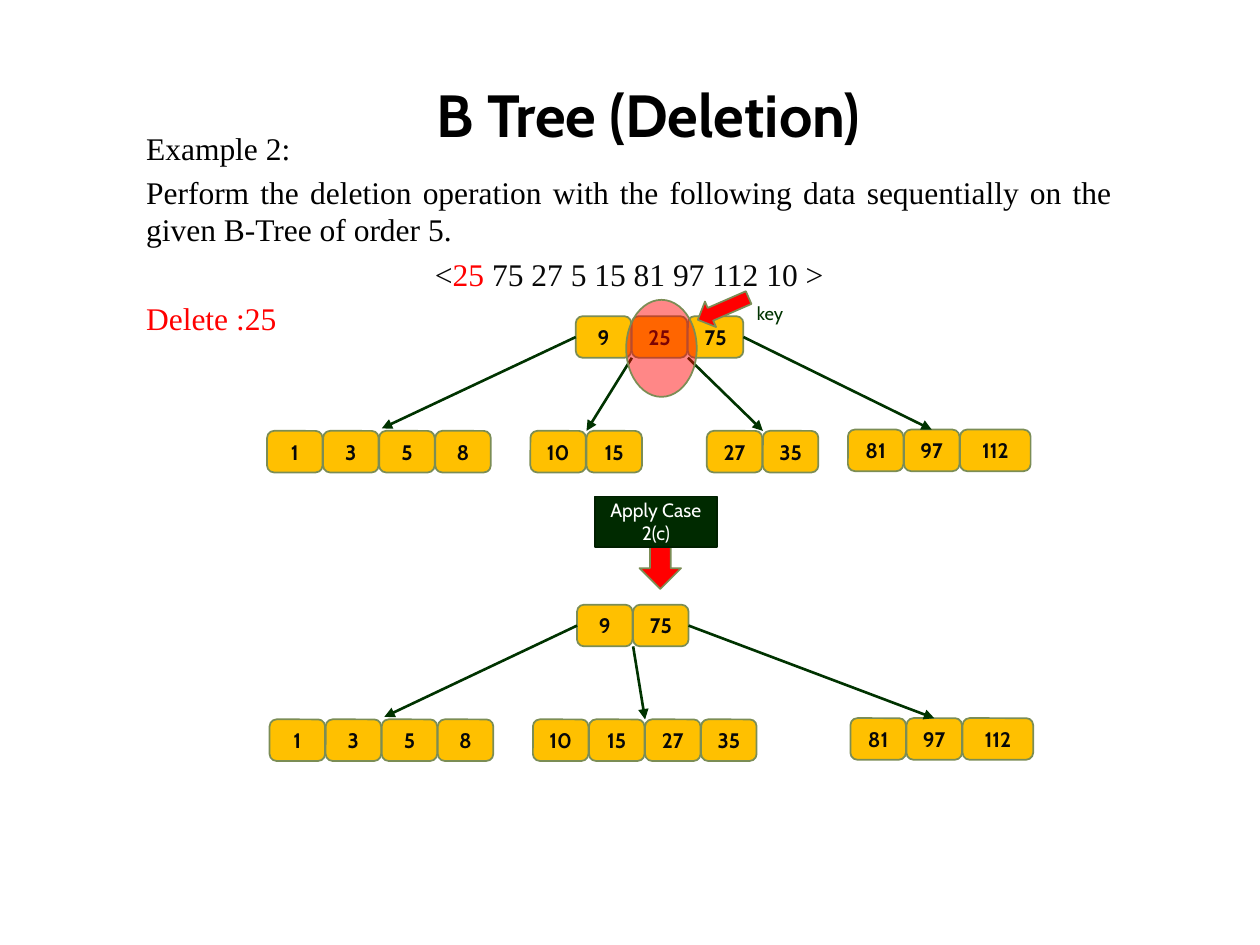
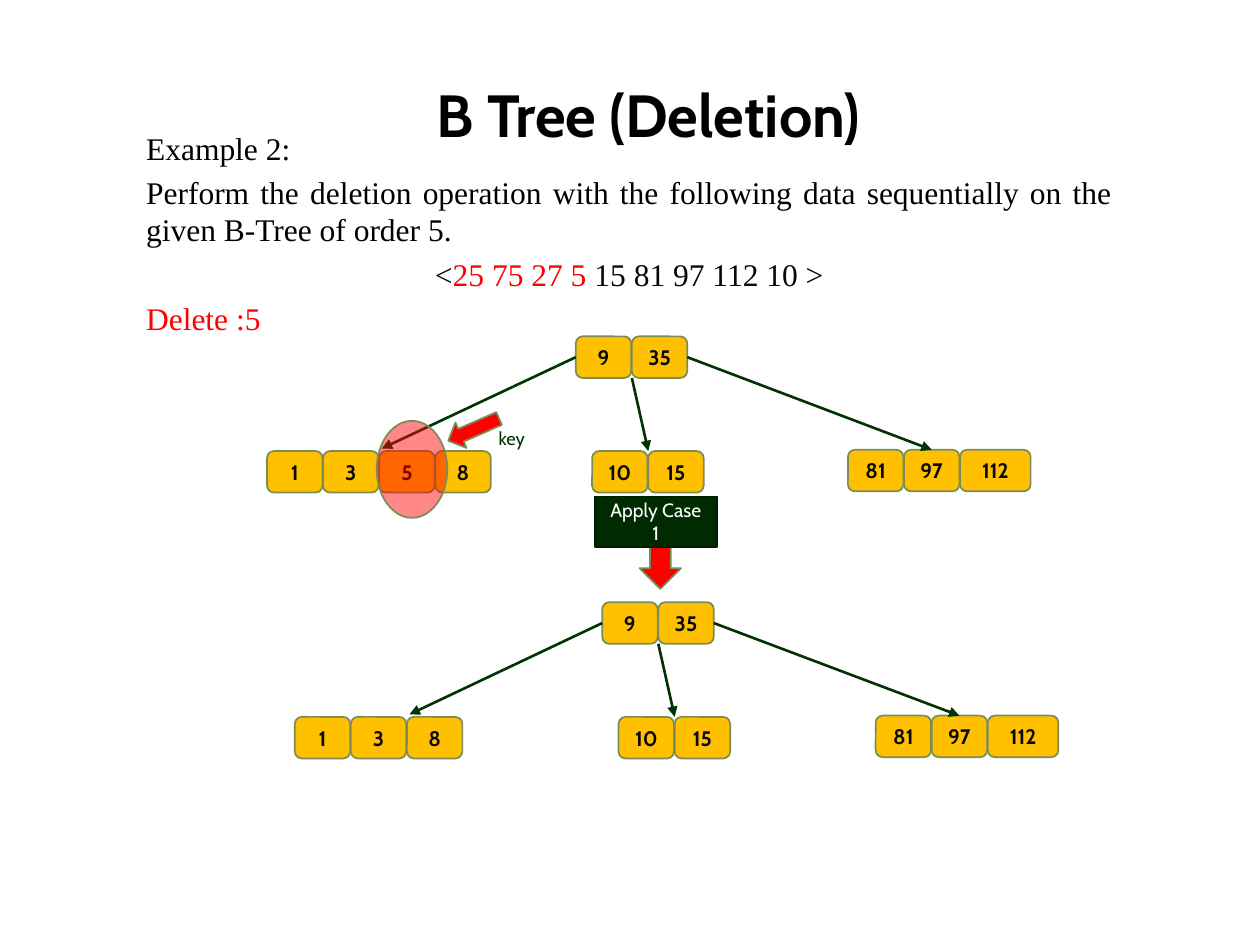
"""Build two slides that walk through deletions from a B-Tree of order 5."""
from lxml import etree
from pptx import Presentation
from pptx.dml.color import RGBColor
from pptx.enum.shapes import MSO_CONNECTOR, MSO_SHAPE as Shape
from pptx.enum.text import MSO_ANCHOR as Anchor, MSO_AUTO_SIZE as AutoSize, PP_ALIGN as Align
from pptx.oxml.ns import qn
from pptx.util import Inches, Pt

BLACK = RGBColor(0, 0, 0)
INK = RGBColor(0x08, 0x08, 0x08)
WHITE = RGBColor(0xFF, 0xFF, 0xFF)
RED = RGBColor(0xFF, 0, 0)
AMBER = RGBColor(0xFF, 0xC0, 0)
OLIVE = RGBColor(0x7B, 0x8D, 0x55)
GREEN = RGBColor(0, 0x33, 0)
DARK_GREEN = RGBColor(0, 0x2A, 0)
DEEP_GREEN = RGBColor(0, 0x1F, 0)

HEADING_FONT = "Cabin"
BODY_FONT = "Times New Roman"

CELL_WIDTH = 0.44
WIDE_CELL_WIDTH = 0.56
CELL_HEIGHT = 0.33
CELL_PITCH = 0.89 / 2
LEVEL_DROP = 0.91
TIP_OFFSET = Inches(0.02)


class TreeSlides:
    """Holds the shared style and the current slide."""

    def __init__(self):
        self.deck = Presentation()
        self.deck.slide_width = Inches(10)
        self.deck.slide_height = Inches(7.5)
        self.page = None

    def add_page(self, title):
        self.page = self.deck.slides.add_slide(self.deck.slide_layouts[1])
        box = self.page.shapes.title
        self.place(box, 0.65, 0.51, 9, 0.79)
        box.text_frame.auto_size = AutoSize.NONE
        para = box.text_frame.paragraphs[0]
        para.alignment = Align.CENTER
        self.add_run(para, title, 34, BLACK, bold=True)

    def place(self, box, left, top, width, height):
        box.left, box.top = Inches(left), Inches(top)
        box.width, box.height = Inches(width), Inches(height)

    def add_run(self, para, text, size, color, font=HEADING_FONT, bold=False):
        span = para.add_run()
        span.text = text
        span.font.size = Pt(size)
        span.font.name = font
        span.font.bold = bold
        span.font.color.rgb = color

    def add_body(self, paragraphs):
        box = self.page.placeholders[1]
        self.place(box, 1.06, 0.97, 7.87, 1.86)
        frame = box.text_frame
        frame.auto_size = AutoSize.NONE
        for index, (align, spans) in enumerate(paragraphs):
            para = frame.add_paragraph() if index else frame.paragraphs[0]
            para.alignment = align
            properties = para._p.get_or_add_pPr()
            properties.set("marL", "0")
            properties.set("indent", "0")
            etree.SubElement(properties, qn("a:buNone"))
            for text, color in spans:
                self.add_run(para, text, 18, color, BODY_FONT)

    def add_shape(self, kind, left, top, width, height, fill, line=OLIVE, rotation=0):
        shape = self.page.shapes.add_shape(
            kind, Inches(left), Inches(top), Inches(width), Inches(height))
        shape.shadow.inherit = False
        shape.fill.solid()
        shape.fill.fore_color.rgb = fill
        shape.line.color.rgb = line
        shape.line.width = Pt(1)
        shape.rotation = rotation
        return shape

    def center_text(self, shape, text, size, color, bold=False):
        frame = shape.text_frame
        frame.word_wrap = True
        frame.vertical_anchor = Anchor.MIDDLE
        para = frame.paragraphs[0]
        para.alignment = Align.CENTER
        self.add_run(para, text, size, color, bold=bold)

    def add_node(self, keys, left, top):
        cells = []
        for index, key in enumerate(keys):
            width = WIDE_CELL_WIDTH if key > 99 else CELL_WIDTH
            cell = self.add_shape(Shape.ROUNDED_RECTANGLE, left + index * CELL_PITCH,
                                  top, width, CELL_HEIGHT, AMBER)
            cell.text_frame.margin_left = cell.text_frame.margin_right = 0
            self.center_text(cell, str(key), 12, INK, bold=True)
            cells.append(cell)
        return cells

    def add_arrow(self, start, end):
        arrow = self.page.shapes.add_connector(MSO_CONNECTOR.STRAIGHT, *start, *end)
        arrow.line.color.rgb = GREEN
        arrow.line.width = Pt(1.5)
        etree.SubElement(arrow.line._get_or_add_ln(), qn("a:tailEnd"), type="triangle")
        etree.SubElement(arrow._element.spPr, qn("a:effectLst"))
        return arrow

    def add_tree(self, root_keys, root_left, root_top, leaves):
        root = self.add_node(root_keys, root_left, root_top)
        last = len(leaves) - 1
        for index, (keys, left) in enumerate(leaves):
            drop = LEVEL_DROP - 0.01 if index == last else LEVEL_DROP
            leaf = self.add_node(keys, left, root_top + drop)
            seam = leaf[(len(leaf) + 1) // 2]
            start = (root[min(index, len(root) - 1)].left, root[0].top + root[0].height)
            end = (seam.left, seam.top)
            if index == 0:
                end = (seam.left + TIP_OFFSET, seam.top - TIP_OFFSET)
            arrow = self.add_arrow(start, end)
            if index == 0:
                arrow.begin_connect(root[0], 1)
            elif index == last:
                arrow.begin_connect(root[-1], 3)
                arrow.end_connect(leaf[1], 0)

    def add_case(self, text):
        self.add_shape(Shape.RIGHT_ARROW, 5.04, 4.31, 0.4, 0.33, RED, rotation=90)
        label = self.add_shape(Shape.RECTANGLE, 4.72, 3.94, 0.97, 0.4, DARK_GREEN, DEEP_GREEN)
        self.center_text(label, text, 11, WHITE)

    def add_key_marker(self, left, top, label_left, label_top):
        halo = self.add_shape(Shape.OVAL, left, top, 0.56, 0.77, RED)
        color = halo._element.spPr.find(qn("a:solidFill"))[0]
        etree.SubElement(color, qn("a:alpha"), val="47000")
        self.add_shape(Shape.LEFT_ARROW, left + 0.55, top - 0.04, 0.44, 0.22, RED,
                       rotation=336.4)
        box = self.page.shapes.add_textbox(
            Inches(label_left), Inches(label_top), Inches(0.46), Inches(0.28))
        box.text_frame.word_wrap = True
        self.add_run(box.text_frame.paragraphs[0], "key", 10.5, GREEN)

    def add_deletion(self, done, pending, key, case, before, after, marker):
        self.add_page("B Tree (Deletion)")
        self.add_body([
            (Align.JUSTIFY, [("Example 2:", BLACK)]),
            (Align.JUSTIFY, [("Perform the deletion operation with the following data "
                              "sequentially on the given B-Tree of order 5.", BLACK)]),
            (Align.CENTER, [("<", INK), (done + " ", RED), (pending + " >", INK)]),
            (Align.LEFT, [(f"Delete :{key}", RED)]),
        ])
        self.add_tree(*before)
        self.add_case(case)
        self.add_key_marker(*marker)
        self.add_tree(*after)


def main():
    slides = TreeSlides()
    low, high = [1, 3, 5, 8], [81, 97, 112]
    slides.add_deletion(
        "25", "75 27 5 15 81 97 112 10", 25, "Apply Case 2(c)",
        before=([9, 25, 75], 4.57, 2.51,
                [(low, 2.12), ([10, 15], 4.21), ([27, 35], 5.61), (high, 6.73)]),
        after=([9, 75], 4.58, 4.8,
               [(low, 2.14), ([10, 15, 27, 35], 4.23), (high, 6.75)]),
        marker=(4.97, 2.38, 5.91, 2.35))
    slides.add_deletion(
        "25 75 27 5", "15 81 97 112 10", 5, "Apply Case 1",
        before=([9, 35], 4.57, 2.67,
                [(low, 2.12), ([10, 15], 4.7), (high, 6.73)]),
        after=([9, 35], 4.78, 4.78,
               [([1, 3, 8], 2.34), ([10, 15], 4.91), (high, 6.95)]),
        marker=(2.99, 3.34, 3.86, 3.34))
    slides.deck.save("out.pptx")


if __name__ == "__main__":
    main()
